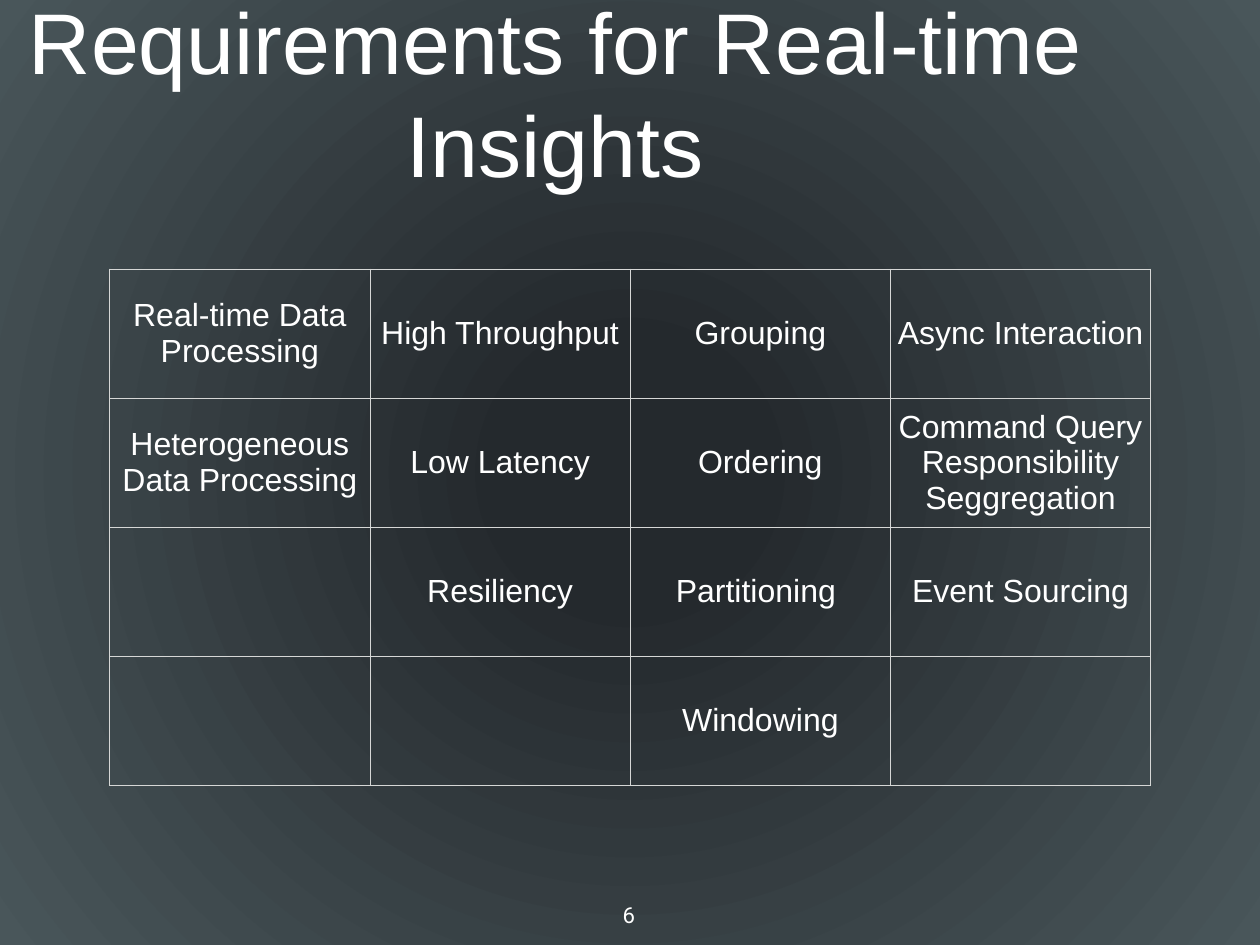
from lxml.etree import SubElement
from pptx import Presentation
from pptx.dml.color import RGBColor
from pptx.enum.text import MSO_ANCHOR, PP_ALIGN
from pptx.oxml import parse_xml
from pptx.oxml.ns import nsdecls, qn
from pptx.util import Cm, Pt

# Content
TITLE = "Requirements for Real-time Insights"
NUMBER = "6"
COLUMNS = [
    ["Real-time Data Processing", "Heterogeneous Data Processing"],
    ["High Throughput", "Low Latency", "Resiliency"],
    ["Grouping", "Ordering", "Partitioning ", "Windowing"],
    ["Async Interaction", "Command Query Responsibility Seggregation",
     "Event Sourcing"],
]

# Format values
WHITE, LINE = "FFFFFF", "D6D7D6"
STOPS = [(0.16, "24292D"), (1, "49565A")]
PAD = Cm(0.15)
INSETS = {"margin_" + side: PAD for side in ("left", "right", "top", "bottom")}
MIDDLE = INSETS | {"vertical_anchor": MSO_ANCHOR.MIDDLE}
HEAD = MIDDLE | {"margin_right": Cm(4.45), "word_wrap": True}
FOOT = INSETS | {"word_wrap": False}
ROWS = max(map(len, COLUMNS))
WIDE, HIGH = Cm(7.46), Cm(3.7)


def color(code):
    return RGBColor.from_string(code)


def apply(item, values):
    for name, value in values.items():
        setattr(item, name, value)


def write(frame, text, size, face="Arial"):
    para = frame.paragraphs[0]
    para.alignment = PP_ALIGN.CENTER
    run = para.add_run()
    run.text = text
    apply(run.font, {"size": Pt(size), "name": face})
    run.font.color.rgb = color(WHITE)


def label(slide, box, text, size, face, values):
    frame = slide.shapes.add_textbox(*map(Cm, box)).text_frame
    apply(frame, values)
    write(frame, text, size, face)


def border(cell):
    props = cell._tc.get_or_add_tcPr()
    for spot, side in enumerate("LRTB"):
        edge = parse_xml(f'<a:ln{side} {nsdecls("a")} w="{Pt(1)}"/>')
        fill = SubElement(edge, qn("a:solidFill"))
        SubElement(fill, qn("a:srgbClr"), val=LINE)
        props.insert(spot, edge)


def backdrop(slide):
    fill = slide.background.fill
    fill.gradient()
    for stop, (place, code) in zip(fill.gradient_stops, STOPS):
        stop.position = place
        stop.color.rgb = color(code)
    # Turn the linear gradient into a centred circle
    line = next(slide.element.iter(qn("a:lin")))
    line.getparent().replace(line, parse_xml(
        f'<a:path {nsdecls("a")} path="circle"><a:fillToRect '
        'l="50000" t="50000" r="50000" b="50000"/></a:path>'))


def grid(slide):
    count = len(COLUMNS)
    table = slide.shapes.add_table(ROWS, count, Cm(3.15), Cm(7.72),
                                   WIDE * count, HIGH * ROWS).table
    apply(table, {"first_row": False, "horz_banding": False})
    for col, words in enumerate(COLUMNS):
        for row in range(ROWS):
            cell = table.cell(row, col)
            apply(cell, MIDDLE)
            cell.fill.background()
            border(cell)
            if row < len(words):
                write(cell.text_frame, words[row], 26)


def main():
    deck = Presentation()
    apply(deck, {"slide_width": Cm(36.12), "slide_height": Cm(27.1)})
    slide = deck.slides.add_slide(deck.slide_layouts[6])
    backdrop(slide)
    label(slide, (0.64, 1.07, 34.85, 3.1), TITLE, 70, "Arial", HEAD)
    grid(slide)
    label(slide, (17.7, 25.7, 0.66, 1.07), NUMBER, 18, "Roboto", FOOT)
    deck.save("out.pptx")


if __name__ == "__main__":
    main()
